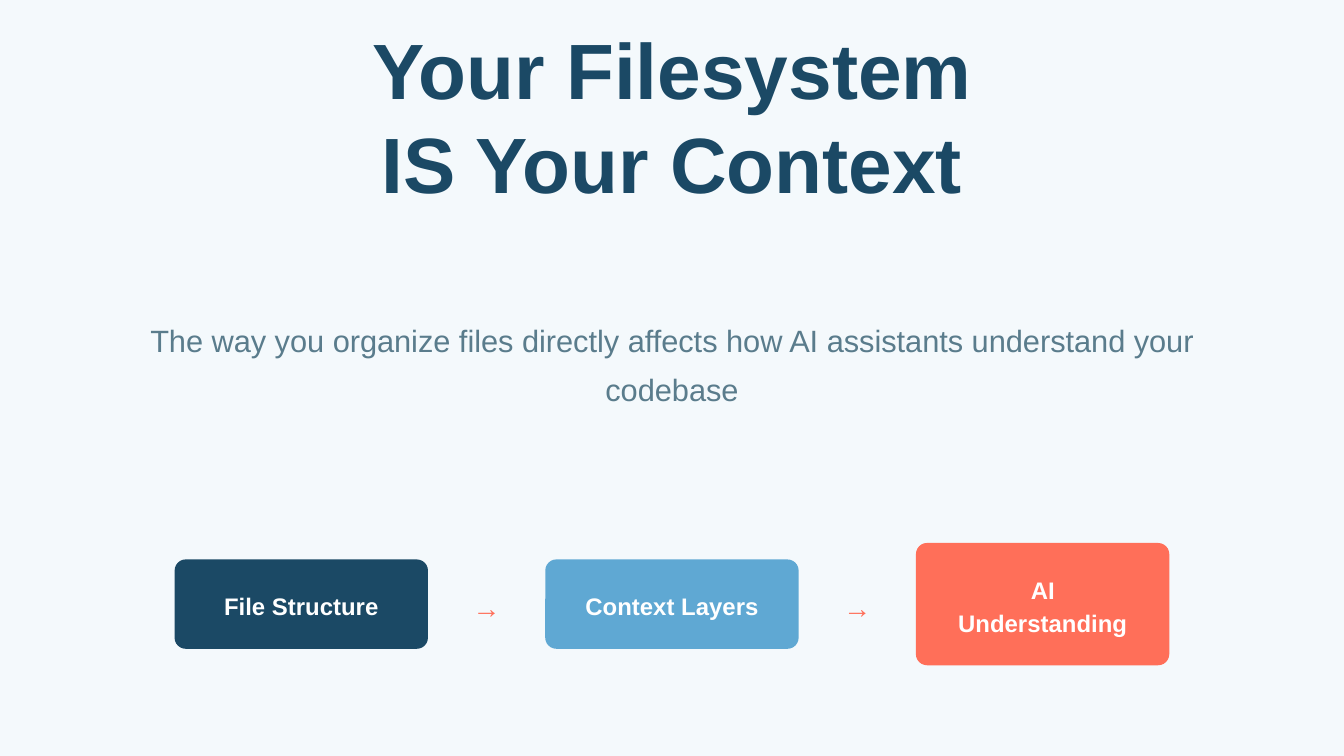
from pptx import Presentation
from pptx.dml.color import RGBColor
from pptx.enum.shapes import MSO_SHAPE as Shape
from pptx.enum.text import PP_ALIGN as Align
from pptx.util import Inches, Pt

WIDTH = 10
HEIGHT = WIDTH * 9 / 16
UNIT = WIDTH / 100
FONT = "Arial"
NAVY, BLUE, CORAL = "1B4965", "5FA8D3", "FF6F59"
SLATE, WHITE, PALE = "5A7C8C", "FFFFFF", "F4F9FC"

FLOW_MIDDLE, FLOW_CENTER = 44.95, 50
CARD_WIDTH, CARD_STEP, CARD_RADIUS = 18.85, 27.58, 0.83
LABEL_WIDTH, LABEL_LINE = 13.2, 2.5
ARROW_WIDTH, ARROW_HEIGHT = 2.1, 2.9
CARDS = [
    ("File Structure", NAVY, 6.65, 1),
    ("Context Layers", BLUE, 6.65, 1),
    ("AI Understanding", CORAL, 9.1, 2),
]


def paint(color_format, color):
    color_format.rgb = RGBColor.from_string(color)


def grid(*units):
    return [Inches(unit * UNIT) for unit in units]


def centered(center, width, height):
    return center - width / 2, FLOW_MIDDLE - height / 2, width, height


def add_text(page, place, text, size, leading, color, bold=False):
    box = page.shapes.add_textbox(*grid(*place))
    frame = box.text_frame
    frame.word_wrap = True
    frame.margin_left = frame.margin_right = 0
    frame.margin_top = frame.margin_bottom = 0
    frame.text = text
    para = frame.paragraphs[0]
    para.alignment = Align.CENTER
    para.line_spacing = Pt(leading)
    span = para.runs[0]
    span.font.name = FONT
    span.font.size = Pt(size)
    span.font.bold = bold
    paint(span.font.color, color)


def add_card(page, center, height, color):
    place = centered(center, CARD_WIDTH, height)
    card = page.shapes.add_shape(Shape.ROUNDED_RECTANGLE, *grid(*place))
    card.adjustments[0] = CARD_RADIUS / height
    card.shadow.inherit = False
    card.fill.solid()
    paint(card.fill.fore_color, color)
    card.line.fill.background()


def add_label(page, center, text, lines):
    place = centered(center, LABEL_WIDTH, lines * LABEL_LINE)
    add_text(page, place, text, 12.8, 17.9, WHITE, bold=True)


def add_arrow(page, center):
    place = centered(center, ARROW_WIDTH, ARROW_HEIGHT)
    add_text(page, place, "→", 15, 21, CORAL)


def add_flow(page):
    first = FLOW_CENTER - CARD_STEP * (len(CARDS) - 1) / 2
    for index, (text, color, height, lines) in enumerate(CARDS):
        center = first + index * CARD_STEP
        if index:
            add_arrow(page, center - CARD_STEP / 2)
        add_card(page, center, height, color)
        add_label(page, center, text, lines)


def main():
    deck = Presentation()
    deck.slide_width, deck.slide_height = Inches(WIDTH), Inches(HEIGHT)
    page = deck.slides.add_slide(deck.slide_layouts[6])
    page.background.fill.solid()
    paint(page.background.fill.fore_color, PALE)

    add_text(page, (27.2, 1.55, 45.6, 14), "Your Filesystem IS Your Context",
             42, 50.4, NAVY, bold=True)
    add_text(page, (7.5, 23, 85, 7.3),
             "The way you organize files directly affects how AI assistants "
             "understand your codebase", 16.5, 26.4, SLATE)
    add_flow(page)
    deck.save("out.pptx")


if __name__ == "__main__":
    main()
